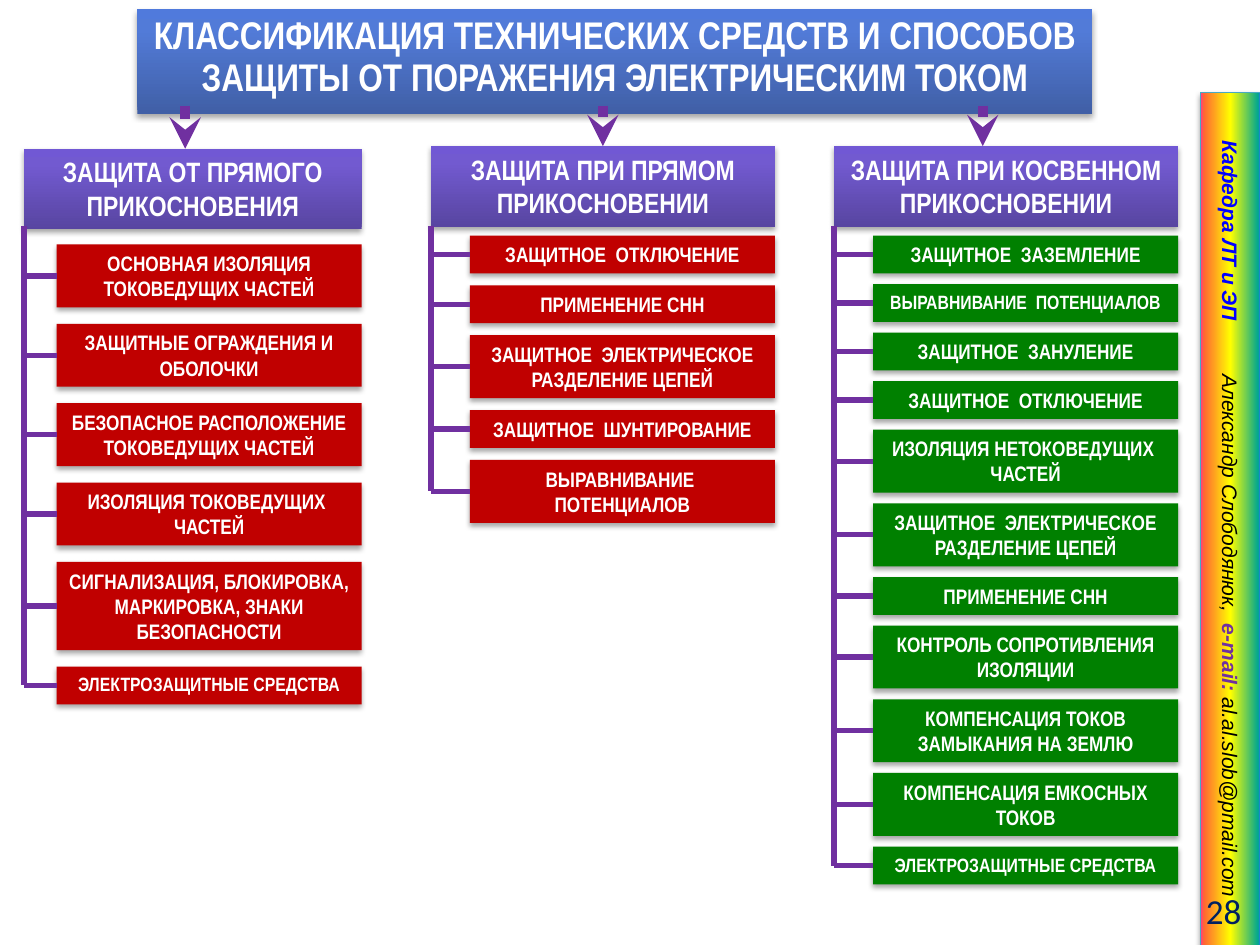
from dataclasses import dataclass

from lxml.etree import SubElement
from pptx import Presentation
from pptx.dml.color import RGBColor
from pptx.enum.shapes import MSO_CONNECTOR, MSO_SHAPE
from pptx.enum.text import MSO_ANCHOR, MSO_AUTO_SIZE, PP_ALIGN
from pptx.oxml.ns import qn
from pptx.util import Inches, Pt

COLS, ROWS = 100, 75  # grid of the slide
CELL = Inches(10) / COLS


@dataclass(frozen=True)
class Theme:
    narrow: str = "Arial Narrow"
    plain: str = "Arial"
    digit: str = "Calibri"
    white: str = "FFFFFF"
    black: str = "000000"
    blue: str = "0000FF"
    navy: str = "002060"
    purple: str = "7030A0"
    red: str = "C00000"
    green: str = "008000"
    edge: str = "46AAC5"
    top: tuple = ((0, "405FA6"), (80, "527BD8"), (100, "507ADC"))
    head: tuple = ((0, "5845A1"), (80, "725AD0"), (100, "7158D4"))
    bow: tuple = ((0, "FF3399"), (6, "FF6633"), (50, "FFFF00"),
                  (96, "01A78F"), (100, "3366FF"))
    title: int = 22
    group: int = 16
    item: int = 12
    small: int = 11
    page: int = 20


@dataclass(frozen=True)
class Branch:
    head: str
    left: float
    top: float
    width: float
    arrow: float   # column of the arrow
    start: float   # row of the first box
    inset: float   # from the spine to the boxes
    gap: float     # between the boxes
    color: str
    items: tuple   # text, number of lines, type size


T = Theme()
N, S = T.item, T.small

BRANCHES = (
    Branch("ЗАЩИТА ОТ ПРЯМОГО ПРИКОСНОВЕНИЯ", 1.9, 11.8, 26.8, 14.7,
           19.4, 2.6, 1.3, T.red, (
               ("ОСНОВНАЯ ИЗОЛЯЦИЯ ТОКОВЕДУЩИХ ЧАСТЕЙ", 2, N),
               ("ЗАЩИТНЫЕ ОГРАЖДЕНИЯ И ОБОЛОЧКИ", 2, N),
               ("БЕЗОПАСНОЕ РАСПОЛОЖЕНИЕ ТОКОВЕДУЩИХ ЧАСТЕЙ", 2, N),
               ("ИЗОЛЯЦИЯ ТОКОВЕДУЩИХ  ЧАСТЕЙ", 2, N),
               ("СИГНАЛИЗАЦИЯ, БЛОКИРОВКА, МАРКИРОВКА, ЗНАКИ БЕЗОПАСНОСТИ", 3, N),
               ("ЭЛЕКТРОЗАЩИТНЫЕ СРЕДСТВА", 1, S))),
    Branch("ЗАЩИТА ПРИ ПРЯМОМ ПРИКОСНОВЕНИИ", 34.2, 11.6, 27.3, 47.85,
           18.7, 3.1, 0.95, T.red, (
               ("ЗАЩИТНОЕ  ОТКЛЮЧЕНИЕ", 1, N),
               ("ПРИМЕНЕНИЕ СНН", 1, N),
               ("ЗАЩИТНОЕ  ЭЛЕКТРИЧЕСКОЕ РАЗДЕЛЕНИЕ ЦЕПЕЙ", 2, N),
               ("ЗАЩИТНОЕ  ШУНТИРОВАНИЕ", 1, N),
               ("ВЫРАВНИВАНИЕ  ПОТЕНЦИАЛОВ", 2, N))),
    Branch("ЗАЩИТА ПРИ КОСВЕННОМ ПРИКОСНОВЕНИИ", 66.2, 11.6, 27.3, 78,
           18.7, 3.1, 0.85, T.green, (
               ("ЗАЩИТНОЕ  ЗАЗЕМЛЕНИЕ", 1, N),
               ("ВЫРАВНИВАНИЕ  ПОТЕНЦИАЛОВ", 1, S),
               ("ЗАЩИТНОЕ  ЗАНУЛЕНИЕ", 1, N),
               ("ЗАЩИТНОЕ  ОТКЛЮЧЕНИЕ", 1, N),
               ("ИЗОЛЯЦИЯ НЕТОКОВЕДУЩИХ  ЧАСТЕЙ", 2, N),
               ("ЗАЩИТНОЕ  ЭЛЕКТРИЧЕСКОЕ РАЗДЕЛЕНИЕ ЦЕПЕЙ", 2, N),
               ("ПРИМЕНЕНИЕ СНН", 1, N),
               ("КОНТРОЛЬ СОПРОТИВЛЕНИЯ ИЗОЛЯЦИИ", 2, N),
               ("КОМПЕНСАЦИЯ ТОКОВ ЗАМЫКАНИЯ НА ЗЕМЛЮ", 2, N),
               ("КОМПЕНСАЦИЯ ЕМКОСНЫХ ТОКОВ", 2, N),
               ("ЭЛЕКТРОЗАЩИТНЫЕ СРЕДСТВА", 1, S))),
)


def grid(*cells):
    return [round(c * CELL) for c in cells]


def place(shape, *cells):
    shape.left, shape.top, shape.width, shape.height = grid(*cells)


def style(run, font, size, color, bold=False, slant=False):
    run.font.name, run.font.size = font, Pt(size)
    run.font.bold, run.font.italic = bold, slant
    run.font.color.rgb = RGBColor.from_string(color)


def paint(shape, fill):
    """Fill with one colour or with gradient stops from bottom to top."""
    if isinstance(fill, str):
        shape.fill.solid()
        shape.fill.fore_color.rgb = RGBColor.from_string(fill)
        return
    shape.fill.gradient()
    shape.fill.gradient_angle = 90
    stops = shape._element.spPr.find(".//" + qn("a:gsLst"))
    for old in list(stops):
        stops.remove(old)
    for share, color in fill:
        stop = SubElement(stops, qn("a:gs"), pos=str(share * 1000))
        SubElement(stop, qn("a:srgbClr"), val=color)


def shade(shape, dist=1.8, alpha=35):
    shape.shadow.inherit = False
    effects = shape._element.spPr.find(qn("a:effectLst"))
    drop = SubElement(effects, qn("a:outerShdw"), blurRad=str(Pt(3.1)),
                      dist=str(Pt(dist)), dir="5400000", rotWithShape="0")
    color = SubElement(drop, qn("a:srgbClr"), val=T.black)
    SubElement(color, qn("a:alpha"), val=str(alpha * 1000))


def label(shape, text, fill, size):
    """Bold white centred text on a filled, shaded box."""
    paint(shape, fill)
    shape.line.fill.background()
    shade(shape)
    frame = shape.text_frame
    frame.text = text
    frame.word_wrap = True
    frame.auto_size = MSO_AUTO_SIZE.SHAPE_TO_FIT_TEXT
    frame.vertical_anchor = MSO_ANCHOR.TOP
    para = frame.paragraphs[0]
    para.alignment = PP_ALIGN.CENTER
    style(para.runs[0], T.narrow, size, T.white, bold=True)
    return para


def add_box(slide, cells, text, fill, size):
    box = slide.shapes.add_shape(MSO_SHAPE.RECTANGLE, *grid(*cells))
    label(box, text, fill, size)
    return box


def add_line(slide, ends, width=3, arrow=False):
    line = slide.shapes.add_connector(MSO_CONNECTOR.STRAIGHT, *grid(*ends))
    line.line.width = Pt(width)
    line.line.color.rgb = RGBColor.from_string(T.purple)
    props = line._element.spPr
    if arrow:
        SubElement(props.find(qn("a:ln")), qn("a:tailEnd"), type="stealth")
    SubElement(props, qn("a:effectLst"))
    return line


def add_title(slide):
    title = slide.shapes.title
    place(title, 10.9, 0.7, 75.8, 7.7)
    para = label(title, "КЛАССИФИКАЦИЯ ТЕХНИЧЕСКИХ СРЕДСТВ И СПОСОБОВ "
                 "ЗАЩИТЫ ОТ ПОРАЖЕНИЯ ЭЛЕКТРИЧЕСКИМ ТОКОМ", T.top, T.title)
    para.line_spacing = Pt(24)


def add_branch(slide, b):
    head = add_box(slide, (b.left, b.top, b.width, 6.4), b.head, T.head, T.group)
    # Arrow from the title
    arrow = add_line(slide, (b.arrow, 8.4, b.arrow, b.top), 6, arrow=True)
    if b.arrow == b.left + b.width / 2:
        arrow.end_connect(head, 0)
    # Boxes, each joined to the spine
    row = b.start
    for text, lines, size in b.items:
        high = 1 + 2 * lines
        mid = row + high / 2
        box = add_box(slide, (b.left + b.inset, row, b.width - b.inset, high),
                      text, b.color, size)
        stub = add_line(slide, (b.left, mid, b.left + b.inset, mid))
        stub.end_connect(box, 1)
        row += high + b.gap
    add_line(slide, (b.left, 17.9, b.left, mid))


def add_side(slide):
    bar = slide.shapes.add_shape(MSO_SHAPE.RECTANGLE,
                                 *grid(63.8, 38.8, 67.7, 4.8))
    bar.rotation = 90
    paint(bar, T.bow)
    bar.line.width = Pt(0.75)
    bar.line.color.rgb = RGBColor.from_string(T.edge)
    shade(bar, 1.6, 38)
    frame = bar.text_frame
    frame.vertical_anchor = MSO_ANCHOR.MIDDLE
    para = frame.paragraphs[0]
    para.alignment = PP_ALIGN.CENTER
    for text, color, bold, space in (
            ("Кафедра ЛТ и ЭП", T.blue, True, 0),
            (" ", T.blue, True, 27),  # wide gap by letter spacing
            ("Александр Слободянюк, ", T.black, False, 0),
            (" e-mail: ", T.purple, True, 0),
            ("al.al.slob@pmail.com", T.black, False, 0)):
        run = para.add_run()
        run.text = text
        style(run, T.plain, T.item, color, bold, slant=True)
        if space:
            run._r.get_or_add_rPr().set("spc", str(space * 100))


def add_page(slide):
    box = slide.shapes.add_textbox(*grid(88.6, 70.3, 10.9, 4))
    frame = box.text_frame
    frame.text = "28"
    frame.word_wrap = True
    frame.vertical_anchor = MSO_ANCHOR.MIDDLE
    para = frame.paragraphs[0]
    para.alignment = PP_ALIGN.RIGHT
    style(para.runs[0], T.digit, T.page, T.navy)


def main():
    deck = Presentation()
    deck.slide_width, deck.slide_height = grid(COLS, ROWS)
    slide = deck.slides.add_slide(deck.slide_layouts[5])
    add_side(slide)
    add_page(slide)
    add_title(slide)
    for branch in BRANCHES:
        add_branch(slide, branch)
    deck.save("out.pptx")


if __name__ == "__main__":
    main()
